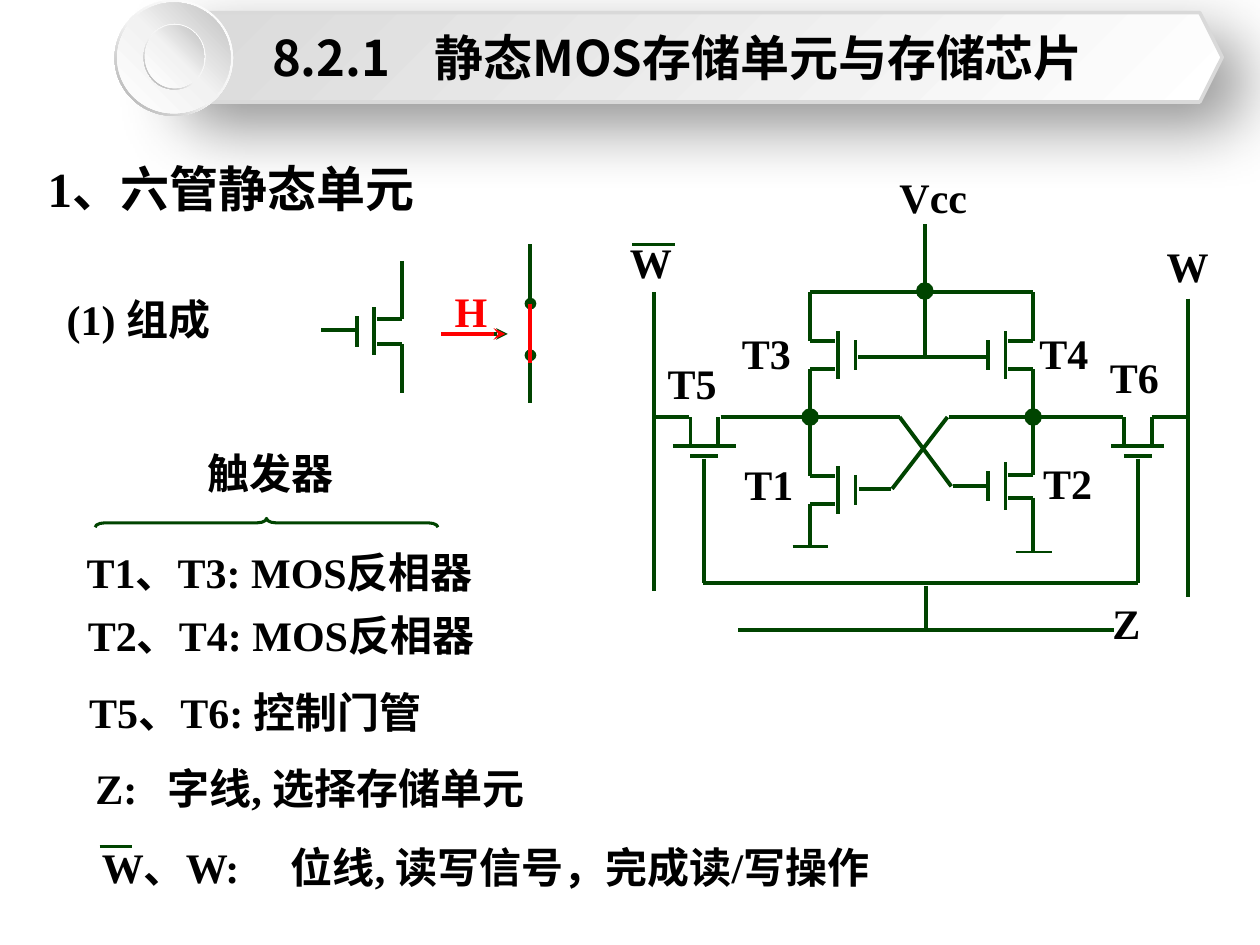
import pptx
import pptx.util
import pptx.oxml
import pptx.oxml.ns
import pptx.dml.color
import pptx.enum.shapes
import pptx.enum.text
import lxml.etree

Inches = pptx.util.Inches
Pt = pptx.util.Pt
qn = pptx.oxml.ns.qn
SHAPE = pptx.enum.shapes.MSO_SHAPE

GREEN = "004400"
BLACK = "000000"
RED = "FF0000"
SERIF = "Times New Roman"
SANS = "Noto Sans CJK SC"


def color(value):
    return pptx.dml.color.RGBColor.from_string(value)


def child(parent, tag, **values):
    element = lxml.etree.SubElement(parent, qn(tag))
    for name, value in values.items():
        element.set(name, str(value))
    return element


class Page:
    """Style of the deck and the elements of the current slide."""

    def __init__(self, deck):
        self.slide = deck.slides.add_slide(deck.slide_layouts[5])
        self.shapes = self.slide.shapes

    def fill_text(self, box, text, size, font=SERIF, ink=BLACK, tab=None):
        frame = box.text_frame
        frame.word_wrap = True
        frame.auto_size = pptx.enum.text.MSO_AUTO_SIZE.NONE
        para = frame.paragraphs[0]
        para.alignment = pptx.enum.text.PP_ALIGN.LEFT
        span = para.add_run()
        span.text = text
        span.font.color.rgb = color(ink)
        for name, value in {"name": font, "size": Pt(size), "bold": True}.items():
            setattr(span.font, name, value)
        child(box.element.find(".//" + qn("a:rPr")), "a:ea", typeface=SANS)
        if tab:
            tabs = child(box.element.find(".//" + qn("a:pPr")), "a:tabLst")
            child(tabs, "a:tab", pos=Inches(tab), algn="l")

    def text(self, text, left, top, width=0.72, height=0.5, size=24, **style):
        box = self.shapes.add_textbox(*map(Inches, (left, top, width, height)))
        self.fill_text(box, text, size, **style)

    def title(self, text, left, top, width, height, tab):
        box = self.shapes.title
        places = {"left": left, "top": top, "width": width, "height": height}
        for name, value in places.items():
            setattr(box, name, Inches(value))
        box.text_frame.vertical_anchor = pptx.enum.text.MSO_ANCHOR.MIDDLE
        self.fill_text(box, text, 28, font=SANS, tab=tab)
        box.element.getparent().append(box.element)

    def line(self, x1, y1, x2, y2, width=2.25, ink=GREEN, head=None, tail=None):
        wire = self.shapes.add_connector(
            pptx.enum.shapes.MSO_CONNECTOR.STRAIGHT, *map(Inches, (x1, y1, x2, y2)))
        wire.line.color.rgb = color(ink)
        wire.line.width = Pt(width)
        properties = wire.element.find(qn("p:spPr"))
        for tag, end in (("a:headEnd", head), ("a:tailEnd", tail)):
            if end:
                child(properties.find(qn("a:ln")), tag, type=end)
        child(properties, "a:effectLst")

    def shape(self, kind, left, top, width, height, fill=None, stops=None,
              angle=0, line=None, weight=1, adjust=()):
        shape = self.shapes.add_shape(kind, *map(Inches, (left, top, width, height)))
        shape.shadow.inherit = False
        for index, value in enumerate(adjust):
            shape.adjustments[index] = value
        if stops:
            shape.fill.gradient()
            shape.fill.gradient_angle = 360 - angle
            stop_list = shape.element.find(".//" + qn("a:gsLst"))
            for stop in list(stop_list):
                stop_list.remove(stop)
            for position, ink in stops:
                stop = child(stop_list, "a:gs", pos=position * 1000)
                child(stop, "a:srgbClr", val=ink)
        elif fill:
            shape.fill.solid()
            shape.fill.fore_color.rgb = color(fill)
        else:
            shape.fill.background()
        if line:
            shape.line.color.rgb = color(line)
            shape.line.width = Pt(weight)
        else:
            shape.line.fill.background()
        return shape

    def cast_shadow(self, shape, alpha, blur, distance, direction):
        effects = shape.element.find(".//" + qn("a:effectLst"))
        shadow = child(effects, "a:outerShdw", blurRad=Pt(blur), dist=Pt(distance),
                       dir=direction * 60000, algn="tl", rotWithShape=0)
        ink = child(shadow, "a:srgbClr", val=BLACK)
        child(ink, "a:alpha", val=alpha * 1000)

    def transistor(self, rail, side, middle, top, bottom, half=0.11):
        """Vertical transistor; side is 1 when the gate is right of the rail."""
        channel, gate = rail + side * 0.22, rail + side * 0.36
        self.line(rail, top, rail, middle - half)
        self.line(rail, middle + half, rail, bottom)
        for y in (middle - half, middle + half):
            self.line(rail, y, rail + side * 0.2, y)
        self.line(channel, middle - 0.19, channel, middle + 0.19)
        self.line(gate, middle - 0.12, gate, middle + 0.12)

    def pass_transistor(self, center, reach):
        """Horizontal transistor with its gate wired down to the word line."""
        for x in (center - 0.11, center + 0.11):
            self.line(x, 3.31, x, 3.54)
        self.line(center - reach, 3.54, center + reach, 3.54)
        self.line(center - 0.11, 3.62, center + 0.11, 3.62)
        self.line(center, 3.64, center, 4.63)


deck = pptx.Presentation()
deck.slide_width, deck.slide_height = Inches(10), Inches(7.5)
page = Page(deck)

# Headings and explanations
page.text("1、六管静态单元", 0.28, 1.21, 3.77, 0.57, size=28)
for text, left, top, width, tab in (
        ("(1) 组成", 0.43, 2.28, 1.71, None),
        ("触发器", 1.55, 3.5, 1.4, None),
        ("T1、T3: MOS反相器", 0.59, 4.29, 4.17, None),
        ("T2、T4: MOS反相器", 0.6, 4.79, 4.83, None),
        ("T5、T6: 控制门管", 0.61, 5.4, 4.25, None),
        ("Z:\t字线, 选择存储单元", 0.66, 6, 5.07, 0.57),
        ("W、W:\t位线, 读写信号，完成读/写操作", 0.71, 6.63, 6.34, 1.5)):
    page.text(text, left, top, width, tab=tab)
page.line(0.79, 6.72, 1.05, 6.72, 1.75)
brace = page.shape(SHAPE.LEFT_BRACE, 2.08, 2.79, 0.07, 2.72,
                   line=GREEN, weight=1.75, adjust=(1.083, 0.5))
brace.rotation = 90

# Six-transistor cell
LEFT, RIGHT, NODE, TOP = 6.43, 8.2, 3.31, 2.32
page.transistor(LEFT, 1, 2.82, TOP, NODE)
page.transistor(RIGHT, -1, 2.82, TOP, NODE)
page.transistor(LEFT, 1, 3.89, NODE, 4.33)
page.transistor(RIGHT, -1, 3.86, NODE, 4.37, half=0.09)
page.pass_transistor(5.59, 0.25)
page.pass_transistor(9.03, 0.21)
for wire in (
        (LEFT, TOP, RIGHT, TOP), (7.34, 1.78, 7.34, 2.83),
        (6.81, 2.83, 7.84, 2.83),
        (5.2, NODE, 5.47, NODE), (5.72, NODE, LEFT, NODE),
        (LEFT, NODE, 7.14, NODE), (7.53, NODE, RIGHT, NODE),
        (RIGHT, NODE, 8.91, NODE), (9.14, NODE, 9.42, NODE),
        (7.14, NODE, 7.55, 3.86), (7.85, 3.86, 7.56, 3.86),
        (7.08, 3.88, 7.52, NODE), (6.82, 3.88, 7.07, 3.88),
        (5.58, 4.63, 9.03, 4.63), (7.35, 4.65, 7.35, 5), (5.86, 5, 8.84, 5),
        (5.19, 2.32, 5.19, 4.69), (9.43, 2.37, 9.43, 4.74)):
    page.line(*wire)
page.line(6.29, 4.34, 6.57, 4.34, 1.5)
page.line(8.06, 4.38, 8.35, 4.38, 1.5)
page.line(5.02, 1.94, 5.36, 1.94, 1.75)
for x, y in ((7.34, 2.31), (LEFT, NODE), (RIGHT, NODE)):
    page.shape(SHAPE.OVAL, x - 0.07, y - 0.07, 0.14, 0.14, fill=GREEN)
for label, left, top in (
        ("T1", 5.81, 3.59), ("T2", 8.18, 3.58), ("T3", 5.79, 2.55),
        ("T4", 8.15, 2.55), ("T5", 5.2, 2.79), ("T6", 8.71, 2.74),
        ("W", 4.9, 1.83), ("W", 9.16, 1.86), ("Z", 8.73, 4.69)):
    page.text(label, left, top, height=0.51)
page.text("Vcc", 7.04, 1.31, 0.99, 0.51)

# Transistor symbol turning into a closed switch
page.transistor(3.19, -1, 2.63, 2.07, 3.12, half=0.1)
page.line(2.83, 2.62, 2.55, 2.62)
page.line(4.21, 1.94, 4.21, 2.41, tail="oval")
page.line(4.21, 2.82, 4.21, 3.2, head="oval")
page.line(3.54, 2.65, 4.03, 2.65, tail="stealth")
page.line(3.5, 2.65, 4.01, 2.65, ink=RED, tail="stealth")
page.line(4.21, 2.41, 4.21, 2.88, ink=RED)
page.text("H", 3.51, 2.22, 0.5, ink=RED)

# Title banner with its round button
banner = page.shape(SHAPE.HEXAGON, 1.22, 0.1, 8.48, 0.71, angle=225,
                    stops=((0, "FFFFFF"), (100, "D9D9D9")), line="D9D9D9", weight=2)
page.cast_shadow(banner, alpha=42, blur=38, distance=19, direction=45)
RING = ((0, "FFFFFF"), (55, "F2F2F2"), (100, "A6A6A6"))
DISC = ((0, "FFFFFF"), (51, "F2F2F2"), (100, "BFBFBF"))
for left, top, width, height, rim in ((0.91, 0, 0.94, 0.92, 0.02),
                                      (1.14, 0.19, 0.49, 0.52, 0.01)):
    page.shape(SHAPE.DONUT, left, top, width, height, stops=RING, angle=135,
               adjust=(0.049,))
    page.shape(SHAPE.OVAL, left + rim, top + rim, width - 2 * rim,
               height - 2 * rim, stops=DISC, angle=315)
page.title("8.2.1\t静态MOS存储单元与存储芯片", 2.06, 0.1, 7.5, 0.71, tab=1.29)

deck.save("out.pptx")
